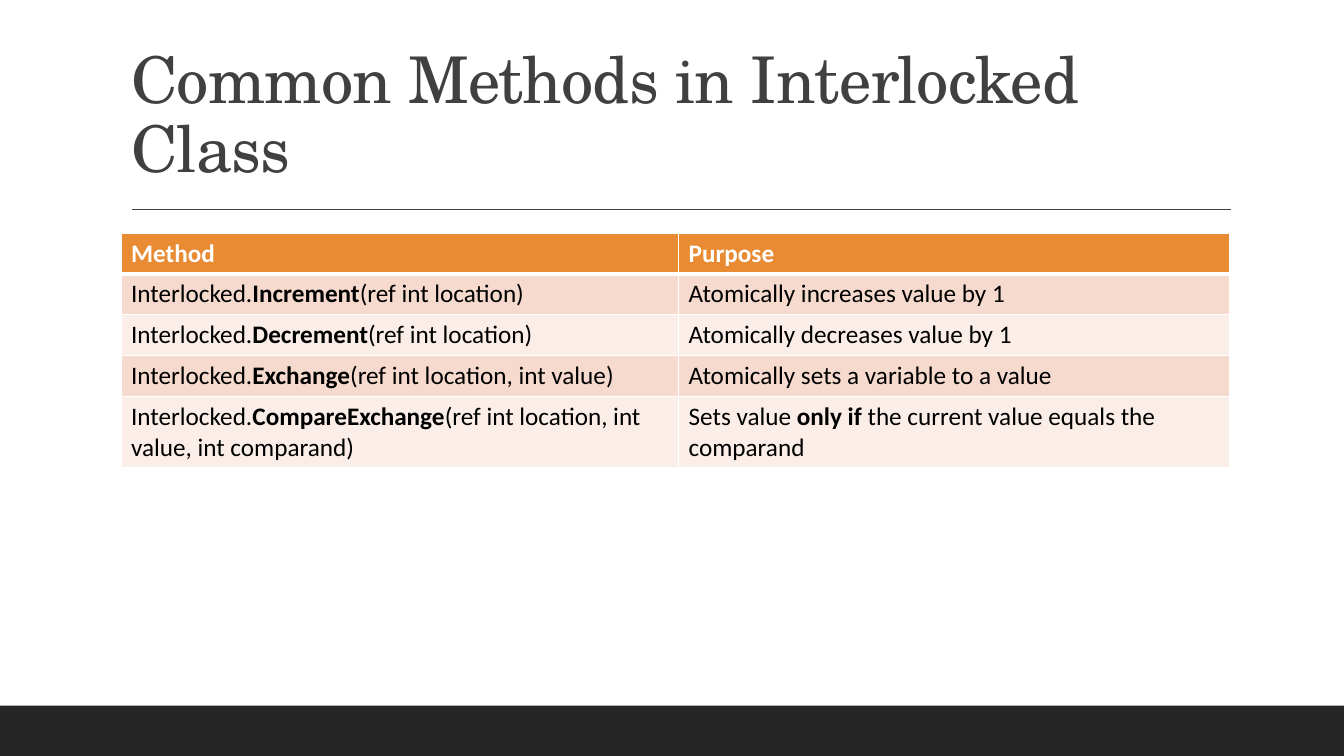
from lxml.etree import SubElement
from pptx import Presentation
from pptx.dml.color import RGBColor
from pptx.enum.shapes import MSO_CONNECTOR, MSO_SHAPE
from pptx.enum.text import MSO_ANCHOR, MSO_AUTO_SIZE, PP_ALIGN
from pptx.oxml.ns import qn
from pptx.util import Cm, Pt

COLORS = {
    "white": "FFFFFF", "black": "000000", "ink": "404040", "bar": "262626",
    "header": "E88B33", "odd": "F6DACE", "even": "FBEEE8",
}
ROWS = [
    ("**Method**", "**Purpose**"),
    ("Interlocked.**Increment**(ref int location)", "Atomically increases value by 1"),
    ("Interlocked.**Decrement**(ref int location)", "Atomically decreases value by 1"),
    ("Interlocked.**Exchange**(ref int location, int value)",
     "Atomically sets a variable to a value"),
    ("Interlocked.**CompareExchange**(ref int location, int value, int comparand)",
     "Sets value **only if** the current value equals the comparand"),
]


def rgb(name):
    """Return the named colour."""
    return RGBColor.from_string(COLORS[name])


def write(tf, text, font="Calibri", size=18, color="black", spacing=None, line=None):
    """Fill a text frame; parts between double asterisks are bold."""
    p = tf.paragraphs[0]
    p.alignment = PP_ALIGN.LEFT
    p.line_spacing = line
    for i, part in enumerate(text.split("**")):
        if part:
            r = p.add_run()
            r.text = part
            r.font.name, r.font.size = font, Pt(size)
            r.font.bold = i % 2 == 1
            r.font.color.rgb = rgb(color)
            if spacing is not None:
                r._r.get_or_add_rPr().set("spc", str(round(spacing * 100)))


def border(cell, side, width):
    """Draw one white cell border, its width in points."""
    ln = SubElement(cell._tc.get_or_add_tcPr(), qn(f"a:ln{side}"), w=str(Pt(width)))
    fill = SubElement(ln, qn("a:solidFill"))
    SubElement(fill, qn("a:srgbClr"), val=COLORS["white"])


class Deck:
    """Holds the style and the current slide."""

    def __init__(self):
        """Open a wide presentation with one title slide."""
        self.prs = Presentation()
        self.prs.slide_width, self.prs.slide_height = Cm(33.87), Cm(19.05)
        self.s = self.prs.slides.add_slide(self.prs.slide_layouts[5])

    def bar(self, x, y, w, h):
        """Add a plain dark bar."""
        sp = self.s.shapes.add_shape(MSO_SHAPE.RECTANGLE, Cm(x), Cm(y), Cm(w), Cm(h))
        sp.shadow.inherit = False
        sp.fill.solid()
        sp.fill.fore_color.rgb = rgb("bar")
        sp.line.fill.background()

    def rule(self, x1, x2, y):
        """Add a thin horizontal line."""
        cx = self.s.shapes.add_connector(
            MSO_CONNECTOR.STRAIGHT, Cm(x1), Cm(y), Cm(x2), Cm(y))
        cx.line.color.rgb = rgb("ink")
        cx.line.width = Pt(1)
        SubElement(cx._element.spPr, qn("a:effectLst"))

    def title(self, text, x, y, w, h):
        """Place and format the title placeholder."""
        sp = self.s.shapes.title
        sp.left, sp.top, sp.width, sp.height = Cm(x), Cm(y), Cm(w), Cm(h)
        tf = sp.text_frame
        tf.word_wrap = True
        tf.auto_size = MSO_AUTO_SIZE.NONE
        tf.vertical_anchor = MSO_ANCHOR.BOTTOM
        write(tf, text, font="TeX Gyre Schola", size=46, color="ink", spacing=-0.5, line=0.9)

    def table(self, rows, x, y, widths, heights):
        """Add a banded table with a header row."""
        table = self.s.shapes.add_table(
            len(rows), len(widths), Cm(x), Cm(y), Cm(sum(widths)), Cm(sum(heights))).table
        for col, width in zip(table.columns, widths):
            col.width = Cm(width)
        for i, texts in enumerate(rows):
            table.rows[i].height = Cm(heights[i])
            band = "header" if i == 0 else "odd" if i % 2 else "even"
            for j, text in enumerate(texts):
                cell = table.cell(i, j)
                write(cell.text_frame, text, color="black" if i else "white")
                for side in "LRTB":
                    border(cell, side, 3 if (i, side) in [(0, "B"), (1, "T")] else 1)
                cell.fill.solid()
                cell.fill.fore_color.rgb = rgb(band)
        table.cell(len(rows) - 1, 1).vertical_anchor = MSO_ANCHOR.MIDDLE


def main():
    """Build and save the slide."""
    deck = Deck()
    deck.bar(0, 17.78, 33.87, 1.27)
    deck.rule(3.33, 31.01, 5.28)
    deck.title("Common Methods in Interlocked Class", 3.05, 0.79, 27.94, 4.04)
    deck.table(ROWS, 3.05, 5.87, [14.05, 13.89], [1.03] * 4 + [1.78])
    deck.prs.save("out.pptx")


if __name__ == "__main__":
    main()
